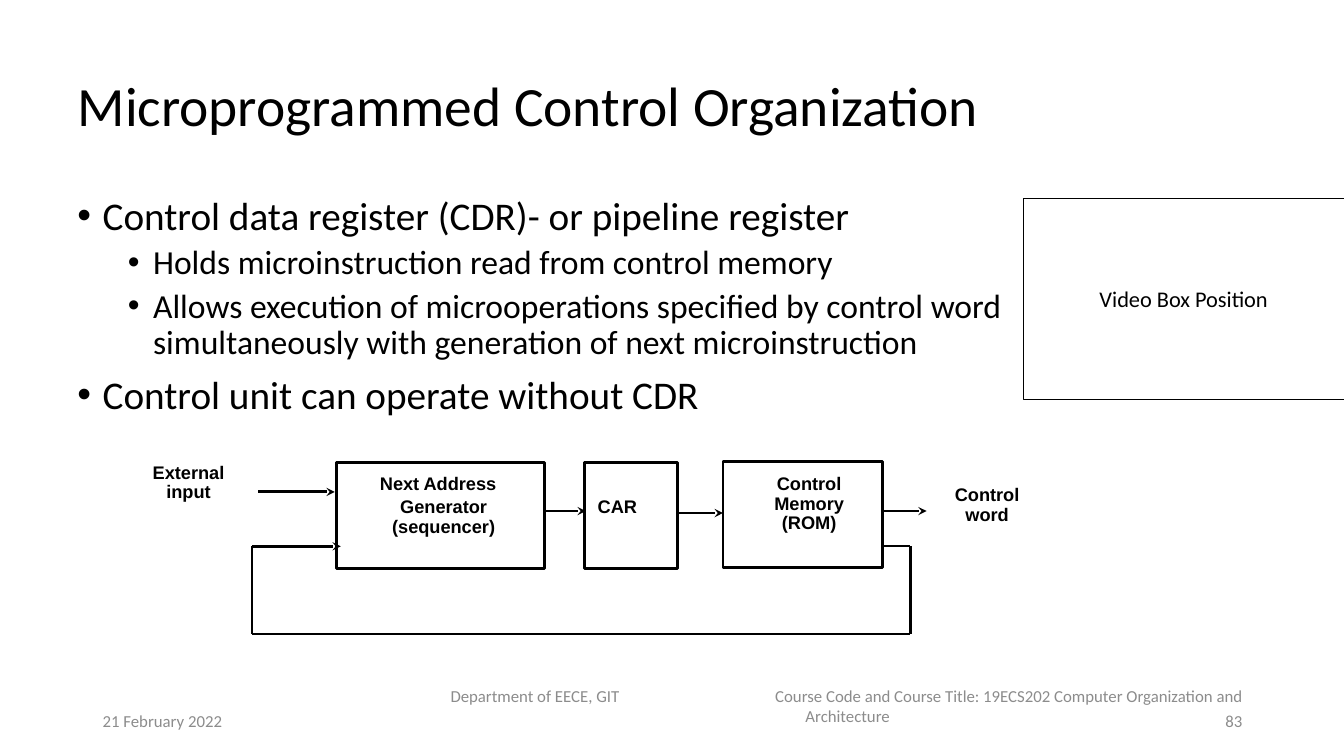
from dataclasses import dataclass

from lxml import etree
from pptx import Presentation
from pptx.dml.color import RGBColor
from pptx.enum.shapes import MSO_CONNECTOR, MSO_SHAPE
from pptx.enum.text import MSO_ANCHOR, PP_ALIGN
from pptx.oxml.ns import qn
from pptx.util import Inches, Pt

LEFT, CENTER, RIGHT = PP_ALIGN.LEFT, PP_ALIGN.CENTER, PP_ALIGN.RIGHT
TOP, MIDDLE = MSO_ANCHOR.TOP, MSO_ANCHOR.MIDDLE
RECTANGLE, STRAIGHT = MSO_SHAPE.RECTANGLE, MSO_CONNECTOR.STRAIGHT
COLORS = {"black": "000000", "white": "FFFFFF", "gray": "8C8C8C"}


@dataclass
class Style:
    size: float
    font: str = "Calibri"
    color: str = "black"
    bold: bool = False
    align: PP_ALIGN = LEFT
    anchor: MSO_ANCHOR = TOP
    spacing: float = 1.0
    wrap: bool = True


@dataclass
class Label:
    lines: list[str]
    box: tuple[float, float, float, float]
    style: Style


@dataclass
class Bullet:
    text: str
    level: int = 0


@dataclass
class Wire:
    start: tuple[float, float]
    end: tuple[float, float]
    width: float = 2
    arrow: bool = False


TITLE = Style(39.6, anchor=MIDDLE, spacing=0.9)
VIDEO = Style(16, align=CENTER, anchor=MIDDLE)
FOOTER = Style(12, color="gray", anchor=MIDDLE)
PAGE_NUMBER = Style(12, color="gray", align=RIGHT, anchor=MIDDLE)
COURSE = Style(12, color="gray")
DIAGRAM = Style(13, "Arial", bold=True, align=CENTER, spacing=0.9, wrap=False)
REGISTER = Style(13, "Arial", bold=True, spacing=0.9)

BULLETS = [
    Bullet("Control data register (CDR)- or pipeline register"),
    Bullet("Holds microinstruction read from control memory", 1),
    Bullet("Allows execution of microoperations specified by control word "
           "simultaneously with generation of next microinstruction", 1),
    Bullet("Control unit can operate without CDR"),
]
BULLET_SIZES = [28, 24]
BULLET_GAPS = [10, 5]

# Diagram blocks: sequencer, address register, control memory
BLOCKS = [(3.34, 4.59, 2.06, 1.05), (5.8, 4.59, 0.92, 1.05), (7.17, 4.58, 1.58, 1.05)]
LABELS = [
    Label(["External", "input"], (1.18, 4.55, 1.38, 0.64), DIAGRAM),
    Label(["Next Address"], (3.31, 4.66, 2.07, 0.38), DIAGRAM),
    Label(["Generator", "(sequencer)"], (3.47, 4.89, 1.86, 0.64), DIAGRAM),
    Label(["CAR"], (5.83, 4.89, 0.89, 0.38), REGISTER),
    Label(["Control", "Memory", "(ROM)"], (7.35, 4.66, 1.35, 0.9), DIAGRAM),
    Label(["Control", "word"], (9.15, 4.77, 1.28, 0.64), DIAGRAM),
    Label(["21 February 2022"], (0.92, 6.95, 3, 0.4), FOOTER),
    Label(["Department of EECE, GIT"], (4.37, 6.8, 2.2, 0.2), FOOTER),
    Label(["83"], (9.42, 6.95, 3, 0.4), PAGE_NUMBER),
]
FEEDBACK_LEFT, FEEDBACK_RIGHT, FEEDBACK_TOP, FEEDBACK_BOTTOM = 2.5, 9.03, 5.42, 6.29
WIRES = [
    Wire((2.56, 4.88), (3.32, 4.88), arrow=True),
    Wire((5.39, 5.07), (5.81, 5.07), arrow=True),
    Wire((6.73, 5.09), (7.17, 5.09), arrow=True),
    Wire((8.75, 5.07), (9.19, 5.07), arrow=True),
    Wire((8.77, FEEDBACK_TOP), (FEEDBACK_RIGHT, FEEDBACK_TOP), 1.5),
    Wire((FEEDBACK_RIGHT, FEEDBACK_TOP), (FEEDBACK_RIGHT, FEEDBACK_BOTTOM), 1.5),
    Wire((FEEDBACK_LEFT, FEEDBACK_BOTTOM), (FEEDBACK_RIGHT, FEEDBACK_BOTTOM)),
    Wire((FEEDBACK_LEFT, FEEDBACK_TOP), (FEEDBACK_LEFT, FEEDBACK_BOTTOM), 1.5),
    Wire((FEEDBACK_LEFT, FEEDBACK_TOP), (3.38, FEEDBACK_TOP), arrow=True),
]


def color(name: str) -> RGBColor:
    return RGBColor.from_string(COLORS[name])


def inches(values: tuple) -> list:
    return [Inches(value) for value in values]


def format_font(font, style: Style) -> None:
    values = {"name": style.font, "size": Pt(style.size), "bold": style.bold}
    for name, value in values.items():
        setattr(font, name, value)
    font.color.rgb = color(style.color)


def write_text(shape, lines: list[str], style: Style) -> None:
    frame = shape.text_frame
    frame.text = "\n".join(lines)
    frame.word_wrap = style.wrap
    frame.vertical_anchor = style.anchor
    for paragraph in frame.paragraphs:
        paragraph.alignment = style.align
        paragraph.line_spacing = style.spacing
        format_font(paragraph.runs[0].font, style)


def add_label(slide, label: Label):
    text_box = slide.shapes.add_textbox(*inches(label.box))
    write_text(text_box, label.lines, label.style)
    return text_box


def set_indent(paragraph, left: float, first: float):
    properties = paragraph._p.get_or_add_pPr()
    properties.set("marL", str(Inches(left)))
    properties.set("indent", str(Inches(first)))
    return properties


def add_bullets(slide, bullets: list[Bullet], box: tuple) -> None:
    text_box = add_label(slide, Label([bullet.text for bullet in bullets], box,
                                      Style(28, spacing=0.9)))
    for bullet, paragraph in zip(bullets, text_box.text_frame.paragraphs):
        paragraph.level = bullet.level
        paragraph.space_before = Pt(BULLET_GAPS[bullet.level])
        paragraph.runs[0].font.size = Pt(BULLET_SIZES[bullet.level])
        properties = set_indent(paragraph, 0.25 + 0.5 * bullet.level, -0.25)
        etree.SubElement(properties, qn("a:buFont"), typeface="Arial")
        etree.SubElement(properties, qn("a:buChar"), char="•")


def add_block(slide, box: tuple, line_width: float, filled: bool = True):
    block = slide.shapes.add_shape(RECTANGLE, *inches(box))
    block.shadow.inherit = False
    if filled:
        block.fill.solid()
        block.fill.fore_color.rgb = color("white")
    else:
        block.fill.background()
    block.line.color.rgb = color("black")
    block.line.width = Pt(line_width)
    return block


def add_wire(slide, wire: Wire) -> None:
    connector = slide.shapes.add_connector(STRAIGHT, *inches(wire.start + wire.end))
    connector.line.color.rgb = color("black")
    connector.line.width = Pt(wire.width)
    if wire.arrow:
        etree.SubElement(connector.line._get_or_add_ln(), qn("a:tailEnd"), type="stealth")
    etree.SubElement(connector._element.spPr, qn("a:effectLst"))


presentation = Presentation()
presentation.slide_width, presentation.slide_height = inches((13.33, 7.5))
slide = presentation.slides.add_slide(presentation.slide_layouts[5])

# Title and bullets
title = slide.shapes.title
title.left, title.top, title.width, title.height = inches((0.67, 0.48, 9.63, 1.19))
write_text(title, ["Microprogrammed Control Organization"], TITLE)
add_bullets(slide, BULLETS, (0.67, 1.9, 9.48, 2.4))

# Video box
video_box = add_block(slide, (10.15, 1.97, 3.18, 1.99), 0.25, filled=False)
write_text(video_box, ["Video Box Position"], VIDEO)

# Control organization diagram, date, department and page number
for block_box in BLOCKS:
    add_block(slide, block_box, 2)
for label in LABELS:
    add_label(slide, label)
for wire in WIRES:
    add_wire(slide, wire)

# Course footer with a hanging second line
course = add_label(slide, Label(
    ["Course Code and Course Title: 19ECS202 Computer Organization and Architecture"],
    (7.59, 6.75, 4.95, 0.5), COURSE))
set_indent(course.text_frame.paragraphs[0], 0.3, -0.3)

presentation.save("out.pptx")
